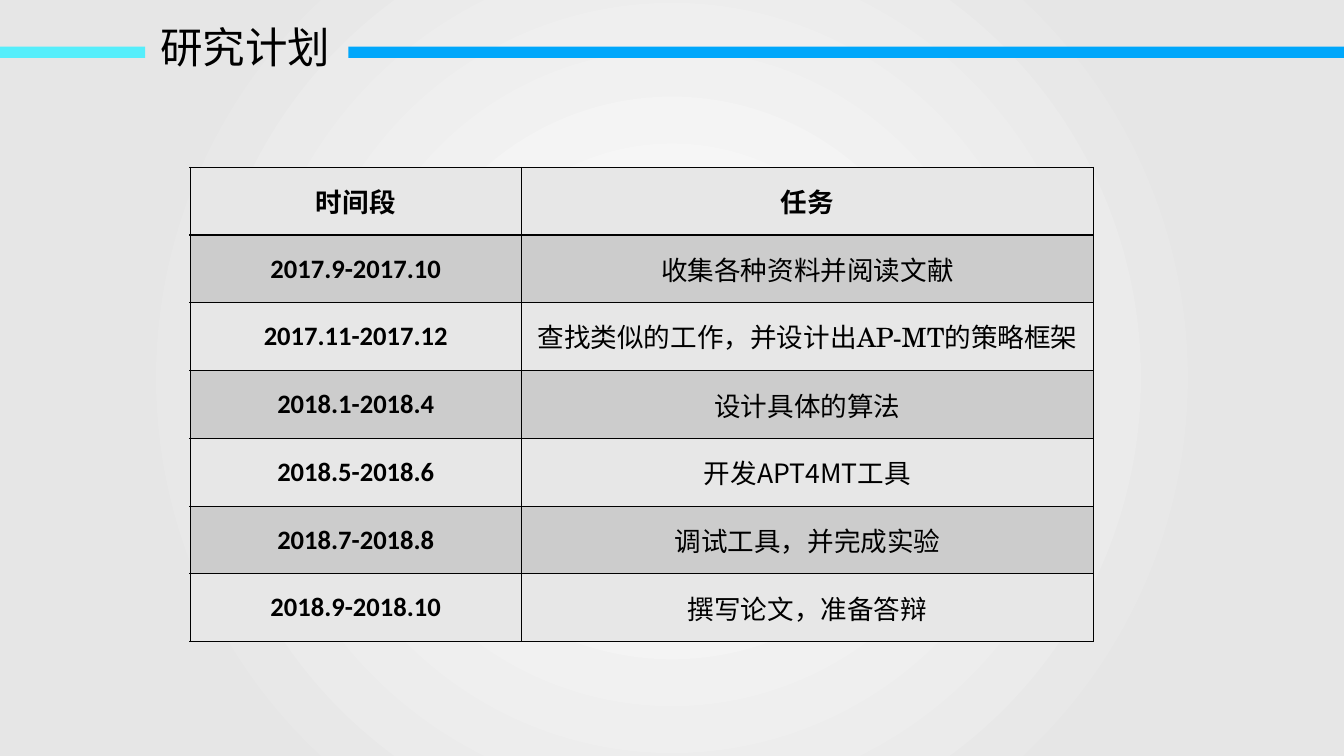
from lxml import etree
from pptx import Presentation
from pptx.dml.color import RGBColor
from pptx.enum.shapes import MSO_SHAPE
from pptx.enum.text import MSO_ANCHOR, PP_ALIGN
from pptx.oxml import parse_xml
from pptx.oxml.ns import qn
from pptx.util import Cm, Pt

RECTANGLE = MSO_SHAPE.RECTANGLE
MIDDLE = MSO_ANCHOR.MIDDLE
CENTER = PP_ALIGN.CENTER

BLACK = RGBColor(0x00, 0x00, 0x00)
BLUE = RGBColor(0x00, 0xA7, 0xFB)
CYAN = RGBColor(0x55, 0xEE, 0xFB)
LIGHT_GRAY = RGBColor(0xE7, 0xE7, 0xE7)
MID_GRAY = RGBColor(0xCC, 0xCC, 0xCC)

DRAWING_NS = "http://schemas.openxmlformats.org/drawingml/2006/main"
CHINESE_FONT = "Noto Sans CJK SC"
SERIF_FONT = "TeX Gyre Schola"

GLOW = f"""<a:gradFill xmlns:a="{DRAWING_NS}" rotWithShape="1"><a:gsLst>
<a:gs pos="0"><a:srgbClr val="FFFFFF"/></a:gs>
<a:gs pos="73000"><a:srgbClr val="E6E6E6"/></a:gs></a:gsLst>
<a:path path="circle"><a:fillToRect l="50000" t="50000" r="50000" b="50000"/></a:path>
</a:gradFill>"""


def add_bar(left, top, width, height, color):
    bar = slide.shapes.add_shape(RECTANGLE, Cm(left), Cm(top), Cm(width), Cm(height))
    bar.shadow.inherit = False
    bar.line.fill.background()
    bar.fill.solid()
    bar.fill.fore_color.rgb = color
    return bar


def add_run(paragraph, text, font, size, bold=False):
    run = paragraph.add_run()
    run.text = text
    run.font.name = font
    run.font.size = Pt(size)
    run.font.bold = bold
    run.font.color.rgb = BLACK
    east_asian = etree.Element(qn("a:ea"), typeface=CHINESE_FONT)
    run.font._element.find(qn("a:latin")).addnext(east_asian)


presentation = Presentation()
presentation.slide_width = Cm(35.71)
presentation.slide_height = Cm(20.09)
slide = presentation.slides.add_slide(presentation.slide_layouts[6])

backdrop = add_bar(0, 0, 35.71, 20.09, LIGHT_GRAY)
solid_fill = backdrop._element.spPr.find(qn("a:solidFill"))
solid_fill.getparent().replace(solid_fill, parse_xml(GLOW))

add_bar(9.26, 1.24, 26.45, 0.3, BLUE)
add_bar(0, 1.24, 3.86, 0.3, CYAN)

heading = slide.shapes.add_textbox(Cm(4.01), Cm(0.43), Cm(5.08), Cm(1.62))
heading.text_frame.word_wrap = False
add_run(heading.text_frame.paragraphs[0], "研究计划", "Arial", 32)

plan = [
    ("时间段", [("任务", "Calibri")]),
    ("2017.9-2017.10", [("收集各种资料并阅读文献", CHINESE_FONT)]),
    ("2017.11-2017.12", [
        ("查找类似的工作，并设计出", CHINESE_FONT),
        ("AP-MT", SERIF_FONT),
        ("的策略框架", CHINESE_FONT),
    ]),
    ("2018.1-2018.4", [("设计具体的算法", CHINESE_FONT)]),
    ("2018.5-2018.6", [("开发APT4MT工具", CHINESE_FONT)]),
    ("2018.7-2018.8", [("调试工具，并完成实验", CHINESE_FONT)]),
    ("2018.9-2018.10", [("撰写论文，准备答辩", CHINESE_FONT)]),
]

ROW_HEIGHT = 1.8
schedule = slide.shapes.add_table(
    len(plan), 2, Cm(5.05), Cm(4.45), Cm(24), Cm(ROW_HEIGHT * len(plan))
).table
schedule.first_row = False
schedule.horz_banding = False
schedule.columns[0].width = Cm(8.81)
schedule.columns[1].width = Cm(15.19)

for row_index, (period, task) in enumerate(plan):
    schedule.rows[row_index].height = Cm(ROW_HEIGHT)
    for column_index, pieces in enumerate([[(period, "Calibri")], task]):
        cell = schedule.cell(row_index, column_index)
        cell.vertical_anchor = MIDDLE
        cell.margin_left = cell.margin_right = Cm(0.18)
        cell.margin_top = cell.margin_bottom = 0
        for side in ("lnL", "lnR", "lnT", "lnB"):
            under_header = (row_index, side) in ((0, "lnB"), (1, "lnT"))
            cell._tc.get_or_add_tcPr().append(parse_xml(
                f'<a:{side} xmlns:a="{DRAWING_NS}" w="{Pt(1.5 if under_header else 1)}">'
                f'<a:solidFill><a:srgbClr val="{BLACK}"/></a:solidFill></a:{side}>'
            ))
        cell.fill.solid()
        cell.fill.fore_color.rgb = MID_GRAY if row_index % 2 else LIGHT_GRAY
        paragraph = cell.text_frame.paragraphs[0]
        paragraph.alignment = CENTER
        for text, font in pieces:
            add_run(paragraph, text, font, 20, row_index == 0 or column_index == 0)

presentation.save("out.pptx")
